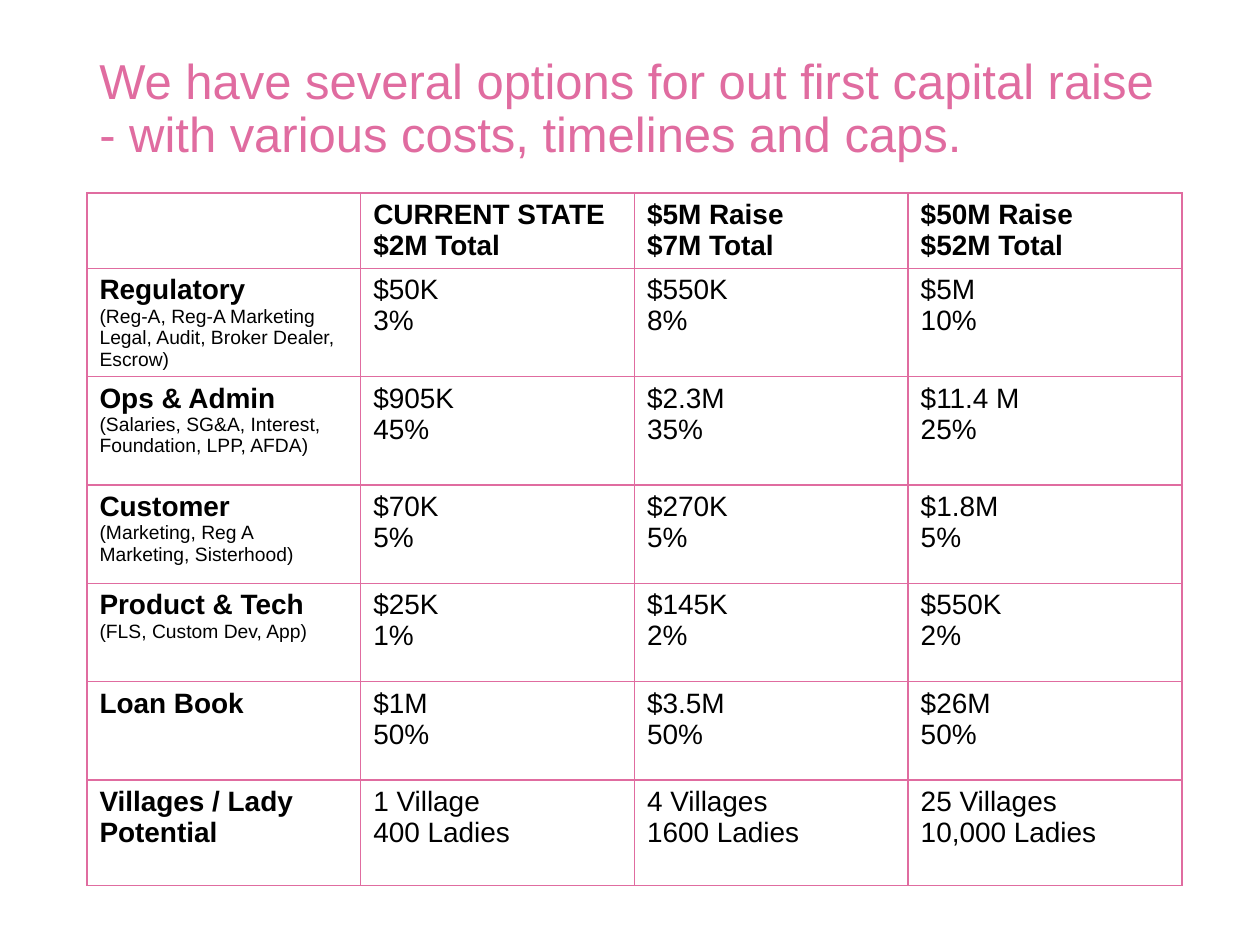
from dataclasses import dataclass

from lxml.etree import SubElement
from pptx import Presentation
from pptx.dml.color import RGBColor
from pptx.enum.text import MSO_ANCHOR
from pptx.oxml.ns import qn
from pptx.util import Inches, Pt


@dataclass(frozen=True)
class Theme:
    """Colours, font and type sizes of the slide."""
    font: str = "Arial"
    accent: str = "E06CA0"
    ink: str = "000000"
    title_size: int = 28
    body_size: int = 16
    note_size: int = 11
    border_width: int = 1


THEME = Theme()
TITLE = "We have several options for out first capital raise - with various costs, timelines and caps."
ROW_HEIGHTS = [0.6, 0.86, 0.86, 0.78, 0.78, 0.78, 0.84]
ROWS = [
    ["", "CURRENT STATE\n$2M Total", "$5M Raise\n$7M Total", "$50M Raise\n$52M Total"],
    ["Regulatory\n(Reg-A, Reg-A Marketing Legal, Audit, Broker Dealer, Escrow)",
     "$50K\n3%", "$550K\n8%", "$5M\n10%"],
    ["Ops & Admin\n(Salaries, SG&A, Interest, Foundation, LPP, AFDA)",
     "$905K\n45%", "$2.3M\n35%", "$11.4 M\n25%"],
    ["Customer\n(Marketing, Reg A Marketing, Sisterhood)", "$70K\n5%", "$270K\n5%", "$1.8M\n5%"],
    ["Product & Tech\n(FLS, Custom Dev, App)", "$25K\n1%", "$145K\n2%", "$550K\n2%"],
    ["Loan Book", "$1M\n50%", "$3.5M\n50%", "$26M\n50%"],
    ["Villages / Lady Potential", "1 Village\n400 Ladies", "4 Villages\n1600 Ladies",
     "25 Villages\n10,000 Ladies"],
]


def style_paragraph(para, size, color, bold=False):
    """Set the font of a whole paragraph."""
    para.font.name = THEME.font
    para.font.size = Pt(size)
    para.font.bold = bold
    para.font.color.rgb = RGBColor.from_string(color)


def add_title(page, left, top, width, height):
    """Place the slide title in the given box."""
    frame = page.shapes.add_textbox(left, top, width, height).text_frame
    frame.word_wrap = True
    frame.vertical_anchor = MSO_ANCHOR.MIDDLE
    frame.text = TITLE
    para = frame.paragraphs[0]
    para.line_spacing = 0.9
    style_paragraph(para, THEME.title_size, THEME.accent)


def set_borders(cell):
    """Draw the four accent borders of a cell and leave it unfilled."""
    properties = cell._tc.get_or_add_tcPr()
    for side in ("a:lnL", "a:lnR", "a:lnT", "a:lnB"):
        line = SubElement(properties, qn(side), w=str(Pt(THEME.border_width)))
        fill = SubElement(line, qn("a:solidFill"))
        SubElement(fill, qn("a:srgbClr"), val=THEME.accent)
    cell.fill.background()


def fill_cell(cell, text, is_header, is_label):
    """Write a cell, with bold headings and small notes below row labels."""
    cell.text = text
    for index, para in enumerate(cell.text_frame.paragraphs):
        is_note = is_label and index > 0
        size = THEME.note_size if is_note else THEME.body_size
        bold = is_header or (is_label and not is_note)
        style_paragraph(para, size, THEME.ink, bold)
    set_borders(cell)


def add_options_table(page, left, top, width, height):
    """Place the table of capital raise options in the given box."""
    column_count = len(ROWS[0])
    table = page.shapes.add_table(len(ROWS), column_count, left, top, width, height).table
    table.first_row = False
    table.horz_banding = False
    for column in table.columns:
        column.width = int(width / column_count)
    for row_index, texts in enumerate(ROWS):
        table.rows[row_index].height = Inches(ROW_HEIGHTS[row_index])
        for column_index, text in enumerate(texts):
            fill_cell(table.cell(row_index, column_index), text,
                      row_index == 0, column_index == 0)


def main():
    """Build the deck and save it."""
    deck = Presentation()
    deck.slide_width = Inches(10)
    deck.slide_height = Inches(7.5)
    page = deck.slides.add_slide(deck.slide_layouts[6])
    add_options_table(page, Inches(0.69), Inches(1.53), Inches(8.69), Inches(sum(ROW_HEIGHTS)))
    add_title(page, Inches(0.69), Inches(0.4), Inches(8.62), Inches(0.95))
    deck.save("out.pptx")


if __name__ == "__main__":
    main()
